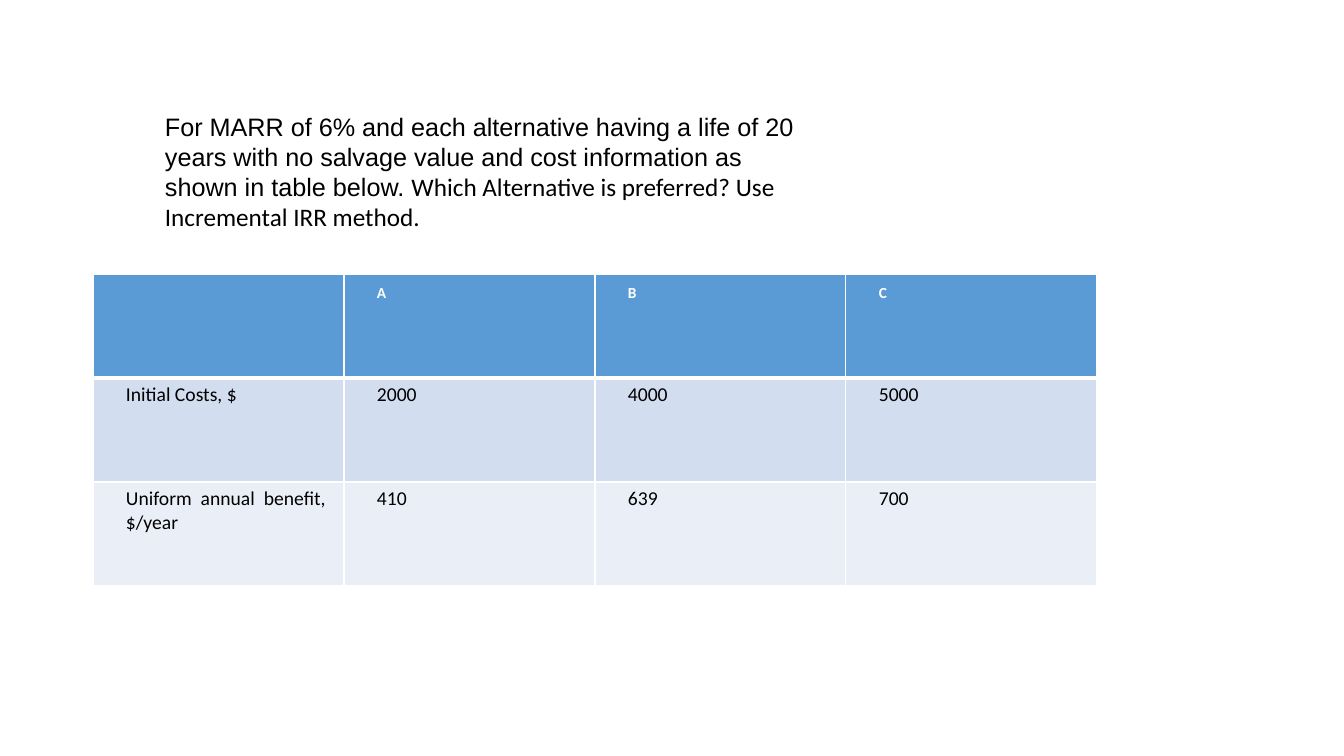
from lxml import etree
from pptx import Presentation
from pptx.dml.color import RGBColor
from pptx.enum.text import MSO_AUTO_SIZE, PP_ALIGN
from pptx.oxml.ns import qn
from pptx.util import Emu, Pt

JUSTIFY = PP_ALIGN.JUSTIFY
FIT_SHAPE = MSO_AUTO_SIZE.SHAPE_TO_FIT_TEXT

# Content
QUESTION = [
    ("For MARR of 6% and each alternative having a life of 20 years with no "
     "salvage value and cost information as shown in table below. ", "Arial"),
    ("Which Alternative is preferred? Use Incremental IRR method.", "Calibri"),
]
ALTERNATIVES = [
    ("", "A", "B", "C"),
    ("Initial Costs, $", "2000", "4000", "5000"),
    ("Uniform annual benefit, $/year", "410", "639", "700"),
]
COLORS = {"header": "5B9BD5", "costs": "D2DEEF", "benefit": "EAEFF7",
          "border": "FFFFFF", "header_text": "FFFFFF", "text": "000000"}
ROW_FILLS = ("header", "costs", "benefit")

# Layout in px
SLIDE_W, SLIDE_H = 1344, 756
QUESTION_BOX = (155, 106, 672, 163)
TABLE_LEFT, TABLE_TOP = 93, 274
COL_W, ROW_H = 251, 104
CELL_LEFT, CELL_RIGHT, INDENT = 8, 18, 25


def px(n):
    return Emu(n * 9525 * 960 // 1008)


def color(name):
    return RGBColor.from_string(COLORS[name])


def add_borders(cell, bottom_pt):
    """Draw the four cell edges; they must precede the cell fill."""
    props = cell._tc.get_or_add_tcPr()
    widths = {"lnL": 1, "lnR": 1, "lnT": 1, "lnB": bottom_pt}
    for edge, width in widths.items():
        line = etree.SubElement(props, qn(f"a:{edge}"), w=str(Pt(width)))
        fill = etree.SubElement(line, qn("a:solidFill"))
        etree.SubElement(fill, qn("a:srgbClr"), val=COLORS["border"])


def fill_cell(cell, text, row):
    header = row == 0
    add_borders(cell, 3 if header else 1)
    cell.fill.solid()
    cell.fill.fore_color.rgb = color(ROW_FILLS[row])
    cell.margin_left, cell.margin_right = px(CELL_LEFT), px(CELL_RIGHT)
    cell.text = text
    label = cell.text_frame.paragraphs[0]
    label.alignment = JUSTIFY
    label.line_spacing = Pt(17)
    props = label._p.get_or_add_pPr()
    props.set("marL", str(px(INDENT)))
    props.set("indent", "0")
    label.font.name = "Calibri"
    label.font.size = Pt(11 if header else 14)
    label.font.bold = header
    label.font.color.rgb = color("header_text" if header else "text")


def main():
    prs = Presentation()
    prs.slide_width, prs.slide_height = px(SLIDE_W), px(SLIDE_H)
    slide = prs.slides.add_slide(prs.slide_layouts[6])

    # Question
    frame = slide.shapes.add_textbox(*map(px, QUESTION_BOX)).text_frame
    frame.word_wrap = True
    frame.auto_size = FIT_SHAPE
    question = frame.paragraphs[0]
    question.font.size = Pt(18)
    question.font.color.rgb = color("text")
    for text, font in QUESTION:
        sentence = question.add_run()
        sentence.text = text
        sentence.font.name = font

    # Cost table
    rows, cols = len(ALTERNATIVES), len(ALTERNATIVES[0])
    costs = slide.shapes.add_table(
        rows, cols, px(TABLE_LEFT), px(TABLE_TOP),
        px(COL_W * cols), px(ROW_H * rows)).table
    for column in costs.columns:
        column.width = px(COL_W)
    for r, values in enumerate(ALTERNATIVES):
        costs.rows[r].height = px(ROW_H)
        for c, value in enumerate(values):
            fill_cell(costs.cell(r, c), value, r)

    prs.save("out.pptx")


if __name__ == "__main__":
    main()
